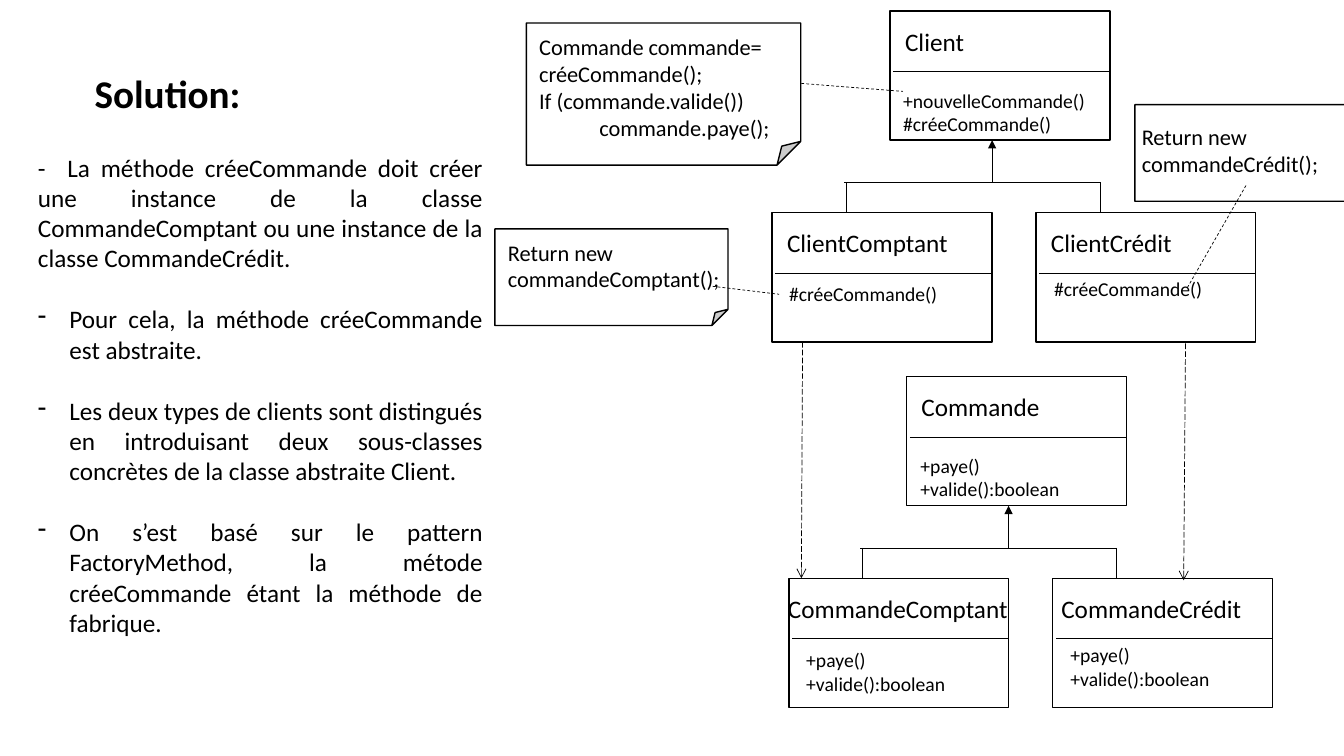
"""Build the slide that explains the FactoryMethod solution with a class diagram."""
from dataclasses import dataclass
from typing import Any, Optional

from lxml.etree import SubElement
from pptx import Presentation
from pptx.dml.color import RGBColor
from pptx.enum.dml import MSO_LINE
from pptx.enum.shapes import MSO_CONNECTOR, MSO_SHAPE
from pptx.enum.text import PP_ALIGN
from pptx.oxml.ns import qn
from pptx.util import Pt

BLACK, WHITE = "000000", "FFFFFF"
CLASS_WIDTH, CLASS_HEIGHT, DIVIDER_DROP = 157, 92.2, 43.3
BAR_DROP, CHILD_DROP = 122.4, 144
PAYMENT_METHODS = ("+paye()", "+valide():boolean")


@dataclass(frozen=True)
class Line:
    """One paragraph with its indent, bullet, spacing and alignment."""
    text: str
    margin: float = 0
    bullet: Optional[str] = None
    space_after: float = 0
    alignment: Optional[PP_ALIGN] = None


@dataclass(frozen=True)
class ClassBox:
    """A class with its corner, and the offsets of its name and methods."""
    name: str
    left: float
    top: float
    name_offset: float
    name_width: float
    methods_left: float
    methods_top: float
    methods: tuple[str, ...]


@dataclass(frozen=True)
class Note:
    """A folded note with the place of its text."""
    left: float
    top: float
    width: float
    height: float
    text_left: float
    text_top: float
    text_width: float
    lines: tuple[Line, ...]


@dataclass(frozen=True)
class Link:
    """A straight line between two points."""
    start: tuple[float, float]
    end: tuple[float, float]
    dash: Optional[MSO_LINE] = None
    arrowhead: Optional[str] = None


CLIENT = ClassBox("Client", 635.8, 7.9, 3.6, 115, 2.2, 51.9,
                  ("+nouvelleCommande()", "#créeCommande()"))
COMMANDE = ClassBox("Commande", 647.5, 269, 3.6, 115, 2.9, 51.4, PAYMENT_METHODS)
CLASSES = (
    CLIENT,
    ClassBox("ClientComptant", 551.5, 152, 3.6, 140, 5, 46, ("#créeCommande()",)),
    ClassBox("ClientCrédit", 740, 152, 3.6, 115, 5.8, 42.5, ("#créeCommande()",)),
    COMMANDE,
    ClassBox("CommandeComptant", 563.5, 413, -7.7, 183, 5.3, 46.4, PAYMENT_METHODS),
    ClassBox("CommandeCrédit", 752, 413, -1, 168, 5.5, 42.8, PAYMENT_METHODS),
)
NOTES = (
    Note(376, 16.4, 196, 101.5, 378, 20.2, 195,
         (Line("Commande commande= créeCommande();"), Line("If (commande.valide())"),
          Line("commande.paye();", margin=43))),
    Note(353.5, 163.5, 166.5, 69, 355.7, 167, 166.5,
         (Line("Return new commandeComptant();"),)),
    Note(810.7, 74.8, 166.5, 69, 808.5, 84.2, 166.5,
         (Line("Return new commandeCrédit();"),)),
)
LINKS = (
    Link((572.4, 59.6), (645, 65.3), MSO_LINE.DASH),
    Link((509, 204.5), (556.5, 210.2), MSO_LINE.DASH),
    Link((890, 132.5), (847.5, 206.6), MSO_LINE.DASH),
    Link((573.3, 244.2), (572.4, 413), MSO_LINE.LONG_DASH, "arrow"),
    Link((846.8, 245.3), (845.5, 414.5), MSO_LINE.LONG_DASH, "arrow"),
)
EXPLANATION = (
    Line("-  La méthode créeCommande doit créer une instance de la classe "
         "CommandeComptant ou une instance de la classe CommandeCrédit.",
         space_after=22, alignment=PP_ALIGN.JUSTIFY),
) + tuple(Line(text, 22.5, "-", 22, PP_ALIGN.JUSTIFY) for text in (
    "Pour cela, la méthode créeCommande est abstraite.",
    "Les deux types de clients sont distingués en introduisant deux sous-classes "
    "concrètes de la classe abstraite Client.",
    "On s’est basé sur le pattern FactoryMethod, la métode créeCommande étant la "
    "méthode de fabrique.",
))


def colour(value: str) -> RGBColor:
    """Turn a hex string into a colour."""
    return RGBColor.from_string(value)


def apply(target: Any, values: dict[str, Any]) -> None:
    """Set each named attribute on the target."""
    for name, value in values.items():
        setattr(target, name, value)


def add_text(page: Any, left: float, top: float, width: float, height: float,
             lines: tuple[Line, ...], size: float, bold: bool = False) -> None:
    """Add a wrapped text box with one paragraph for each line."""
    box = page.shapes.add_textbox(Pt(left), Pt(top), Pt(width), Pt(height))
    frame = box.text_frame
    frame.word_wrap = True
    for index, line in enumerate(lines):
        para = frame.add_paragraph() if index else frame.paragraphs[0]
        apply(para, {"alignment": line.alignment, "space_after": Pt(line.space_after)})
        properties = para._p.get_or_add_pPr()
        properties.set("marL", str(Pt(line.margin)))
        if line.bullet:
            properties.set("indent", str(-Pt(line.margin)))
            SubElement(properties, qn("a:buChar"), char=line.bullet)
        span = para.add_run()
        span.text = line.text
        apply(span.font, {"name": "Calibri", "size": Pt(size), "bold": bold})
        span.font.color.rgb = colour(BLACK)


def add_panel(page: Any, kind: MSO_SHAPE, left: float, top: float,
              width: float, height: float) -> None:
    """Add a white outlined shape."""
    panel = page.shapes.add_shape(kind, Pt(left), Pt(top), Pt(width), Pt(height))
    panel.shadow.inherit = False
    panel.fill.solid()
    panel.fill.fore_color.rgb = colour(WHITE)
    panel.line.color.rgb = colour(BLACK)
    panel.line.width = Pt(1)


def add_link(page: Any, link: Link) -> None:
    """Add a thin connector, dashed or with an arrowhead where asked."""
    points = [Pt(value) for value in (*link.start, *link.end)]
    connector = page.shapes.add_connector(MSO_CONNECTOR.STRAIGHT, *points)
    connector.line.color.rgb = colour(BLACK)
    apply(connector.line, {"width": Pt(0.5), "dash_style": link.dash})
    properties = connector.element.spPr
    if link.arrowhead:
        SubElement(properties.find(qn("a:ln")), qn("a:tailEnd"), type=link.arrowhead)
    SubElement(properties, qn("a:effectLst"))


def add_class(page: Any, item: ClassBox) -> None:
    """Add a class box with its divider, name and methods."""
    add_panel(page, MSO_SHAPE.RECTANGLE, item.left, item.top, CLASS_WIDTH, CLASS_HEIGHT)
    divider = item.top + DIVIDER_DROP
    add_link(page, Link((item.left + 2.4, divider), (item.left + CLASS_WIDTH, divider)))
    add_text(page, item.left + item.name_offset, item.top + 7, item.name_width, 29,
             (Line(item.name),), 18)
    add_text(page, item.left + item.methods_left, item.top + item.methods_top,
             CLASS_WIDTH, 7.4 + 16.8 * len(item.methods),
             tuple(Line(method) for method in item.methods), 14)


def add_note(page: Any, note: Note) -> None:
    """Add a folded note and its text."""
    add_panel(page, MSO_SHAPE.FOLDED_CORNER, note.left, note.top, note.width, note.height)
    add_text(page, note.text_left, note.text_top, note.text_width, 46, note.lines, 16)


def add_inheritance(page: Any, parent: ClassBox) -> None:
    """Join a parent class to its two subclasses."""
    stem, bar = parent.left + 72.9, parent.top + BAR_DROP
    first, second = parent.left - 31.5, parent.left + 150
    add_link(page, Link((stem, bar), (stem, parent.top + CLASS_HEIGHT), arrowhead="triangle"))
    add_link(page, Link((first - 1.4, bar), (second, bar)))
    for child in (first, second):
        add_link(page, Link((child, bar), (child, parent.top + CHILD_DROP)))


def main() -> None:
    """Build and save the deck."""
    deck = Presentation()
    apply(deck, {"slide_width": Pt(960), "slide_height": Pt(540)})
    page = deck.slides.add_slide(deck.slide_layouts[6])
    add_text(page, 60.5, 46, 856, 41, (Line("Solution:"),), 28, bold=True)
    for item in CLASSES:
        add_class(page, item)
    for note in NOTES:
        add_note(page, note)
    for link in LINKS:
        add_link(page, link)
    for parent in (CLIENT, COMMANDE):
        add_inheritance(page, parent)
    add_text(page, 20, 105, 332, 378, EXPLANATION, 18)
    deck.save("out.pptx")


main()
